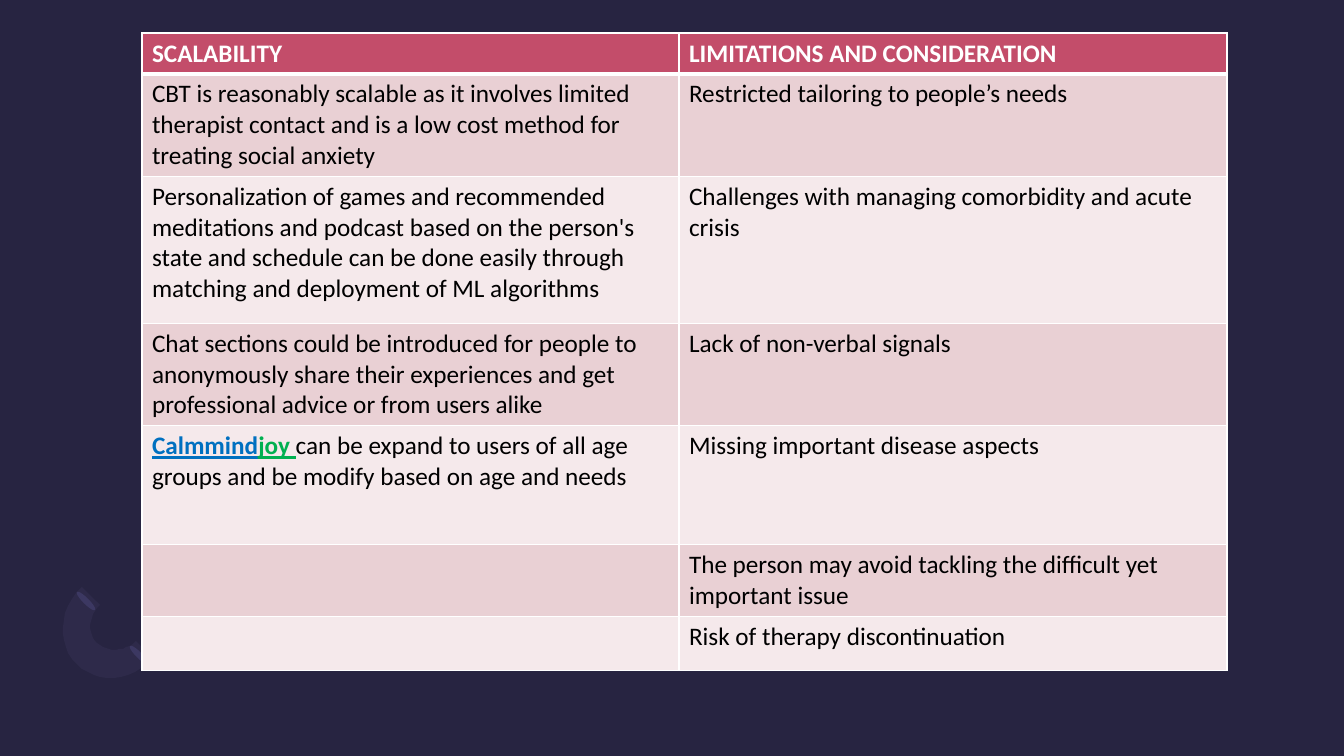
from lxml import etree
from pptx import Presentation
from pptx.dml.color import RGBColor
from pptx.enum.shapes import MSO_SHAPE
from pptx.oxml.ns import qn
from pptx.util import Emu, Pt

OVAL = MSO_SHAPE.OVAL
NIGHT = RGBColor(0x27, 0x24, 0x41)
PETAL = RGBColor(0x37, 0x33, 0x5B)
LILAC = RGBColor(0x81, 0x7B, 0xB6)
ROSE = RGBColor(0xC3, 0x4D, 0x6A)
PINK = RGBColor(0xE9, 0xD0, 0xD4)
PALE = RGBColor(0xF5, 0xE9, 0xEB)
WHITE = RGBColor(0xFF, 0xFF, 0xFF)
BLACK = RGBColor(0, 0, 0)
BLUE = RGBColor(0x00, 0x70, 0xC0)
GREEN = RGBColor(0x00, 0xB0, 0x50)

PX = 914400 / 100.8
CURVE_STEPS = 12

APP_NAME = [
    ("Calmmind", {"color": BLUE, "bold": True, "underline": True}),
    ("joy ", {"color": GREEN, "bold": True, "underline": True}),
]
ROWS = [
    ("SCALABILITY", "LIMITATIONS AND CONSIDERATION"),
    ("CBT is reasonably scalable as it involves limited therapist contact "
     "and is a low cost method for treating social anxiety",
     "Restricted tailoring to people’s needs"),
    ("Personalization of games and recommended meditations and podcast based "
     "on the person's state and schedule can be done easily through matching "
     "and deployment of ML algorithms",
     "Challenges with managing comorbidity and acute crisis"),
    ("Chat sections could be introduced for people to anonymously share their "
     "experiences and get professional advice or from users alike",
     "Lack of non-verbal signals"),
    (APP_NAME + [("can be expand to users of all age groups and be modify "
                  "based on age and needs", {})],
     "Missing important disease aspects"),
    ("", "The person may avoid tackling the difficult yet important issue"),
    ("", "Risk of therapy discontinuation"),
]
COLUMN_WIDTHS = [537, 548]
ROW_HEIGHTS = [27, 92, 147, 92, 119, 64, 54]


def px(length):
    return Emu(round(length * PX))


def add_text(para, text, color=BLACK, bold=False, underline=False,
             size=18, font="Calibri"):
    span = para.add_run()
    span.text = text
    span.font.name = font
    span.font.size = Pt(size)
    span.font.bold = bold
    span.font.underline = underline
    span.font.color.rgb = color


def curve(start, pull_a, pull_b, end):
    """Points along a cubic curve, without its start."""
    points = []
    for step in range(1, CURVE_STEPS + 1):
        t = step / CURVE_STEPS
        weights = ((1 - t) ** 3, 3 * t * (1 - t) ** 2, 3 * t * t * (1 - t), t ** 3)
        corners = (start, pull_a, pull_b, end)
        points.append(tuple(sum(w * c[axis] for w, c in zip(weights, corners))
                            for axis in (0, 1)))
    return points


class SlideBuilder:
    def __init__(self, deck, background):
        self.page = deck.slides.add_slide(deck.slide_layouts[6])
        self.page.background.fill.solid()
        self.page.background.fill.fore_color.rgb = background

    def paint(self, shape, color):
        shape.shadow.inherit = False
        shape.fill.solid()
        shape.fill.fore_color.rgb = color
        shape.line.fill.background()

    def oval(self, left, top, width, height, color, rotation):
        shape = self.page.shapes.add_shape(OVAL, px(left), px(top), px(width), px(height))
        shape.rotation = rotation
        self.paint(shape, color)

    def outline(self, points, color, opacity):
        builder = self.page.shapes.build_freeform(*points[0], scale=PX)
        builder.add_line_segments(points[1:], close=True)
        shape = builder.convert_to_shape()
        self.paint(shape, color)
        tint = next(shape._element.spPr.iter(qn("a:srgbClr")))
        etree.SubElement(tint, qn("a:alpha"), val=str(opacity * 1000))

    def border(self, cell, widths):
        properties = cell._tc.get_or_add_tcPr()
        for index, (side, width) in enumerate(zip("LRTB", widths)):
            line = etree.Element(qn("a:ln" + side), w=str(Pt(width)))
            fill = etree.SubElement(line, qn("a:solidFill"))
            etree.SubElement(fill, qn("a:srgbClr"), val=str(WHITE))
            properties.insert(index, line)

    def table(self, left, top, widths, heights, rows):
        frame = self.page.shapes.add_table(len(rows), len(widths), px(left), px(top),
                                           px(sum(widths)), px(sum(heights)))
        grid = frame.table
        for column, width in zip(grid.columns, widths):
            column.width = px(width)
        for r, (texts, height) in enumerate(zip(rows, heights)):
            grid.rows[r].height = px(height)
            header = r == 0
            shade = ROSE if header else (PALE, PINK)[r % 2]
            base = {"color": WHITE, "bold": True} if header else {}
            for c, text in enumerate(texts):
                cell = grid.cell(r, c)
                cell.fill.solid()
                cell.fill.fore_color.rgb = shade
                self.border(cell, (1, 1, 3 if r == 1 else 1, 3 if header else 1))
                spans = [(text, base)] if isinstance(text, str) else text
                for words, style in spans:
                    if words:
                        add_text(cell.text_frame.paragraphs[0], words, **style)


def main():
    deck = Presentation()
    deck.slide_width, deck.slide_height = px(1344), px(756)
    slide = SlideBuilder(deck, NIGHT)

    # Corner ornament: a faint arc with two petals
    for left, top in ((136, 642), (83, 588)):
        slide.oval(left, top, 6, 26, PETAL, rotation=135)
    arc = [(77, 664)]
    arc += curve((77, 664), (56, 644), (58, 610), (82, 587))
    arc += [(100, 605)]
    arc += curve((100, 605), (88, 616), (87, 634), (97, 643))
    arc += curve((97, 643), (107, 653), (124, 652), (136, 641))
    arc += [(153, 659)]
    arc += curve((153, 659), (131, 681), (96, 685), (77, 664))
    slide.outline(arc, LILAC, opacity=8)

    # Comparison table
    slide.table(142, 33, COLUMN_WIDTHS, ROW_HEIGHTS, ROWS)

    deck.save("out.pptx")


if __name__ == "__main__":
    main()
